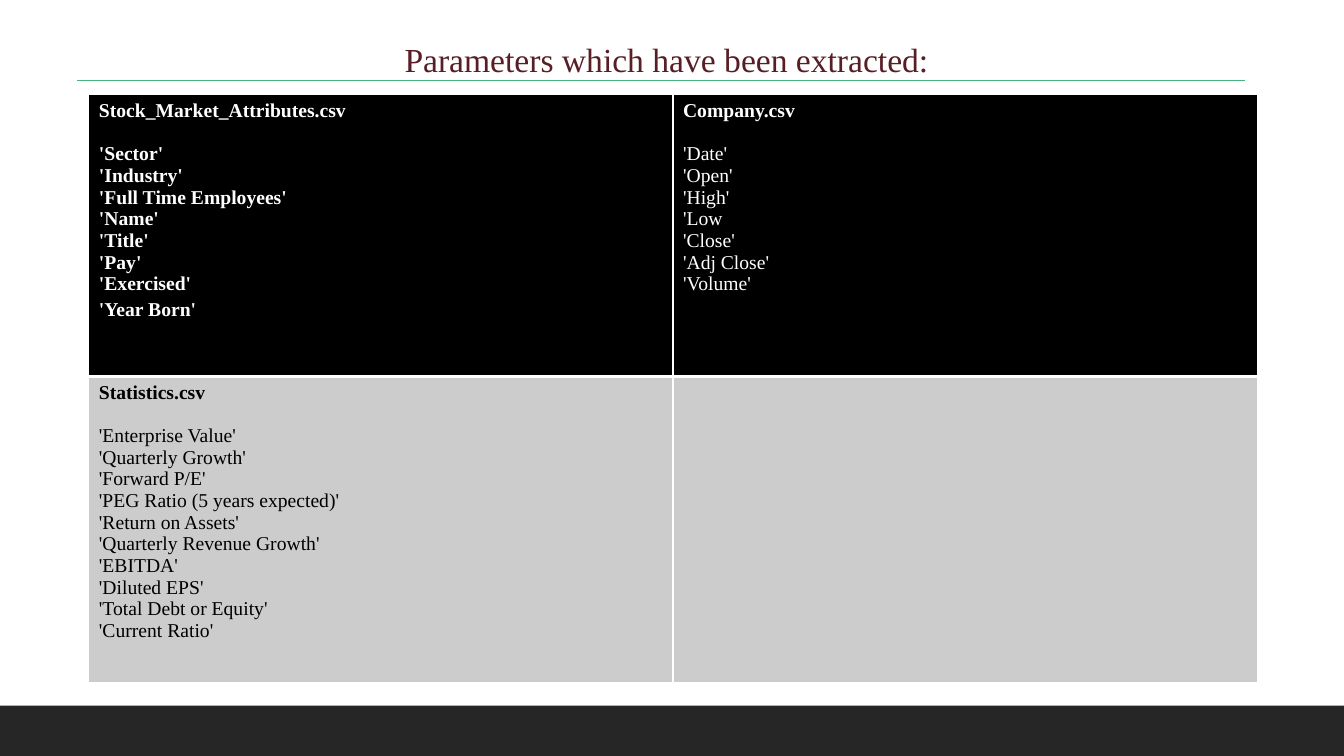
from lxml.etree import SubElement
from pptx import Presentation
from pptx.dml.color import RGBColor
from pptx.enum.shapes import MSO_CONNECTOR as CONN, MSO_SHAPE as SHAPE
from pptx.enum.text import MSO_ANCHOR as ANCHOR, MSO_AUTO_SIZE as FIT, PP_ALIGN as ALIGN
from pptx.oxml.ns import qn
from pptx.util import Cm, Pt


def rgb(code):
    """Turn a hex string into a colour."""
    return RGBColor.from_string(code)


class Deck:
    """Hold the style and the current slide."""

    font = "Times New Roman"
    white, black, grey = "FFFFFF", "000000", "CCCCCC"
    wine, green, dark = "581E25", "46B47E", "262626"

    def __init__(self, prs):
        """Add a slide with only a title."""
        self.s = prs.slides.add_slide(prs.slide_layouts[5])

    def run(self, p, text, size, color, bold=False):
        """Add one styled run to a paragraph."""
        r = p.add_run()
        r.text = text
        r.font.name, r.font.size, r.font.bold = self.font, Pt(size), bold
        r.font.color.rgb = rgb(color)

    def title(self, text, x, y, w, h):
        """Place and fill the title placeholder."""
        sp = self.s.shapes.title
        sp.left, sp.top, sp.width, sp.height = Cm(x), Cm(y), Cm(w), Cm(h)
        tf = sp.text_frame
        tf.auto_size, tf.word_wrap = FIT.NONE, True
        tf.vertical_anchor, tf.margin_top = ANCHOR.TOP, Cm(0.23)
        p = tf.paragraphs[0]
        p.alignment = ALIGN.CENTER
        self.run(p, text, 24, self.wine)

    def bar(self, x, y, w, h):
        """Draw a plain filled bar."""
        sp = self.s.shapes.add_shape(SHAPE.RECTANGLE, Cm(x), Cm(y), Cm(w), Cm(h))
        sp.shadow.inherit = False
        sp.fill.solid()
        sp.fill.fore_color.rgb = rgb(self.dark)
        sp.line.fill.background()

    def rule(self, x1, x2, y):
        """Draw a thin horizontal rule."""
        line = self.s.shapes.add_connector(CONN.STRAIGHT, Cm(x1), Cm(y), Cm(x2), Cm(y))
        line.line.color.rgb = rgb(self.green)
        line.line.width = Pt(1)
        SubElement(line._element.spPr, qn("a:effectLst"))

    def borders(self, cell, bottom):
        """Give a cell white borders."""
        props = cell._tc.get_or_add_tcPr()
        sides = {"a:lnL": 1, "a:lnR": 1, "a:lnT": 1, "a:lnB": bottom}
        for i, (side, width) in enumerate(sides.items()):
            ln = SubElement(props, qn(side), w=str(Pt(width)))
            fill = SubElement(ln, qn("a:solidFill"))
            SubElement(fill, qn("a:srgbClr"), val=self.white)
            props.insert(i, ln)

    def file_cell(self, cell, heading, fields, color, bold):
        """Write a file name above its fields."""
        p = cell.text_frame.paragraphs[0]
        p.space_after = Pt(15.5)
        self.run(p, heading, 14, color, True)
        for field in fields:
            p = cell.text_frame.add_paragraph()
            self.run(p, field, 14, color, bold)

    def table(self, rows, x, y, col_width, heights):
        """Draw the grid of files."""
        frame = self.s.shapes.add_table(len(rows), 2, Cm(x), Cm(y),
                                        Cm(2 * col_width), Cm(sum(heights)))
        table = frame.table
        for col in table.columns:
            col.width = Cm(col_width)
        for i, (back, ink, bottom, files) in enumerate(rows):
            table.rows[i].height = Cm(heights[i])
            for cell, content in zip(table.rows[i].cells, files):
                cell.fill.solid()
                cell.fill.fore_color.rgb = rgb(back)
                self.borders(cell, bottom)
                if content:
                    self.file_cell(cell, content[0], content[1], ink, content[2])
        return table


ATTRIBUTES = ["'Sector'", "'Industry'", "'Full Time Employees'", "'Name'",
              "'Title'", "'Pay'", "'Exercised'", "'Year Born'"]
PRICES = ["'Date'", "'Open'", "'High'", "'Low", "'Close'", "'Adj Close'", "'Volume'"]
STATISTICS = ["'Enterprise Value'", "'Quarterly Growth'", "'Forward P/E'",
              "'PEG Ratio (5 years expected)'", "'Return on Assets'",
              "'Quarterly Revenue Growth'", "'EBITDA'", "'Diluted EPS'",
              "'Total Debt or Equity'", "'Current Ratio'"]


def main():
    """Build and save the slide."""
    prs = Presentation()
    prs.slide_width, prs.slide_height = Cm(33.87), Cm(19.05)
    deck = Deck(prs)
    deck.bar(0, 17.78, 33.87, 1.27)
    deck.title("Parameters which have been extracted:", 0.94, 0.74, 31.72, 4.95)
    deck.rule(1.93, 31.37, 2.03)
    rows = [
        (deck.black, deck.white, 3, [("Stock_Market_Attributes.csv", ATTRIBUTES, True),
                                     ("Company.csv", PRICES, False)]),
        (deck.grey, deck.black, 1, [("Statistics.csv", STATISTICS, False), None]),
    ]
    table = deck.table(rows, 2.24, 2.39, 14.72, [7.1, 7.7])
    table.cell(0, 0).text_frame.paragraphs[-1].space_before = Pt(3)
    prs.save("out.pptx")


if __name__ == "__main__":
    main()
